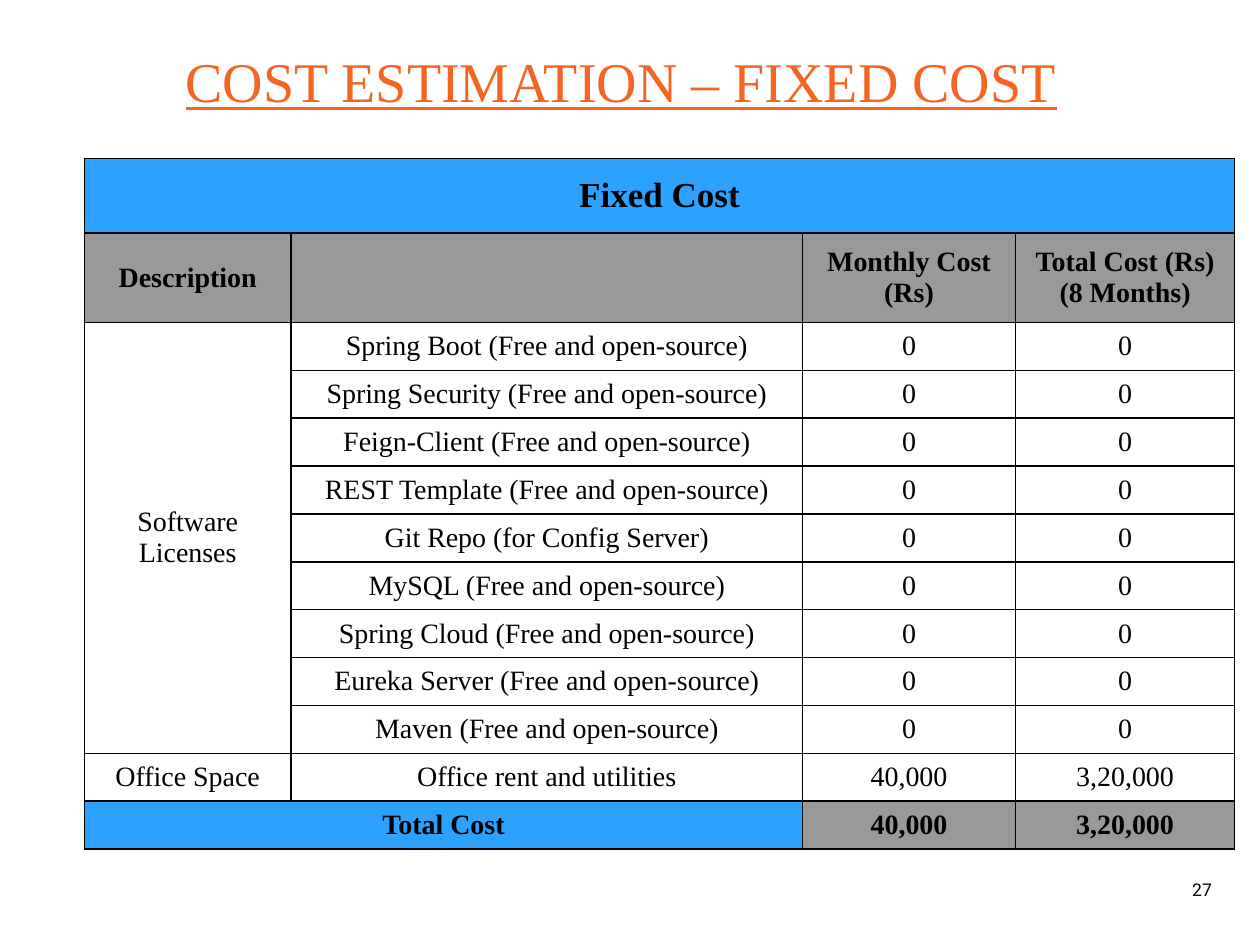
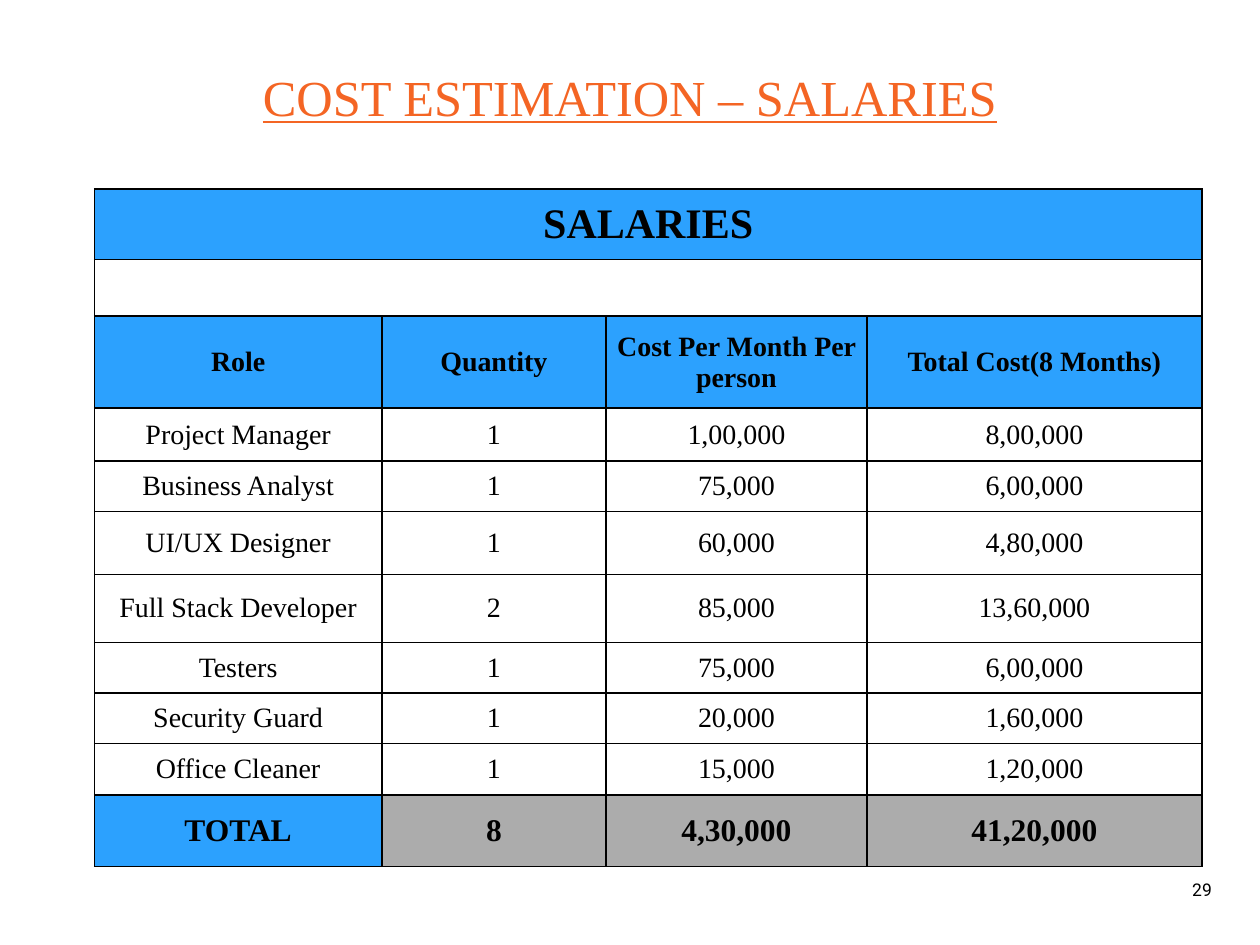
from dataclasses import dataclass

from lxml.etree import SubElement
from pptx import Presentation
from pptx.dml.color import RGBColor as RGB
from pptx.enum.text import MSO_ANCHOR as Anchor, PP_ALIGN as Align
from pptx.oxml.ns import qn
from pptx.util import Inches, Pt


@dataclass(frozen=True)
class Theme:
    orange: str = "F46524"
    blue: str = "2CA1FE"
    gray: str = "999999"
    light_gray: str = "ACACAC"
    white: str = "FFFFFF"
    black: str = "000000"
    serif: str = "Times New Roman"
    sans: str = "Roboto"
    body: float = 16
    number: float = 10
    border: float = 1


T = Theme()


def write(tf, text, size=T.body, font=T.serif, color=T.black, bold=False,
          underline=False, spacing=None):
    """Put one centred paragraph in a text frame; line breaks stay inside it."""
    p = tf.paragraphs[0]
    p.text = text.replace("\n", "\v")
    p.alignment = Align.CENTER
    if spacing:
        p.line_spacing = spacing
    for r in p.runs:
        f = r.font
        f.size, f.name, f.bold, f.underline = Pt(size), font, bold, underline
        f.color.rgb = RGB.from_string(color)


def add_text(s, box, text, anchor=Anchor.TOP, **fmt):
    tf = s.shapes.add_textbox(*map(Inches, box)).text_frame
    tf.word_wrap = True
    tf.vertical_anchor = anchor
    write(tf, text, **fmt)


def add_title(s, box, text, **fmt):
    add_text(s, box, text, color=T.orange, underline=True, **fmt)


def add_slide_number(s, number):
    add_text(s, (9.28, 6.86, 0.52, 0.4), str(number), Anchor.MIDDLE,
             size=T.number, font=T.sans)


def style_cell(cell, fill):
    """Black border on all sides, tight margins, solid fill."""
    tc_pr = cell._tc.get_or_add_tcPr()
    for side in ("a:lnL", "a:lnR", "a:lnT", "a:lnB"):
        ln = SubElement(tc_pr, qn(side), w=str(Pt(T.border)))
        SubElement(SubElement(ln, qn("a:solidFill")), qn("a:srgbClr"), val=T.black)
    cell.margin_left = cell.margin_right = Inches(0.03)
    cell.margin_top = cell.margin_bottom = Inches(0.02)
    cell.vertical_anchor = Anchor.MIDDLE
    cell.fill.solid()
    cell.fill.fore_color.rgb = RGB.from_string(fill)


def add_cost_table(s, box, widths, heights, rows, merges, fills, sizes, bold_rows):
    """fills gives the colours of a row's cells, sizes its type size, by row index."""
    table = s.shapes.add_table(len(rows), len(widths), *map(Inches, box)).table
    table.first_row = table.horz_banding = False
    for column, width in zip(table.columns, widths):
        column.width = Inches(width)
    for i, (values, height) in enumerate(zip(rows, heights)):
        table.rows[i].height = Inches(height)
        row_fills = fills.get(i, [T.white] * len(widths))
        for j, fill in enumerate(row_fills):
            cell = table.cell(i, j)
            style_cell(cell, fill)
            if j < len(values) and values[j]:
                write(cell.text_frame, values[j], size=sizes.get(i, T.body),
                      bold=i in bold_rows)
    for first, last in merges:
        table.cell(*first).merge(table.cell(*last))


def fixed_cost_slide(s):
    add_slide_number(s, 27)
    add_title(s, (0.18, 0.32, 9.5, 0.64), "COST ESTIMATION – FIXED COST", size=32)

    # Licences cost nothing, so only the names vary
    free = " (Free and open-source)"
    licenses = ["Spring Boot" + free, "Spring Security" + free, "Feign-Client" + free,
                "REST Template" + free, "Git Repo (for Config Server)", "MySQL" + free,
                "Spring Cloud" + free, "Eureka Server" + free, "Maven" + free]
    rows = [["Fixed Cost"],
            ["Description", "", "Monthly Cost (Rs)", "Total Cost (Rs)\n(8 Months)"]]
    rows += [["" if i else "Software Licenses", name, "0", "0"]
             for i, name in enumerate(licenses)]
    rows += [["Office Space", "Office rent and utilities", "40,000", "3,20,000"],
             ["Total Cost", "", "40,000", "3,20,000"]]
    total = len(rows) - 1
    add_cost_table(
        s, (0.67, 1.26, 9.14, 5.47), [1.64, 4.06, 1.69, 1.74],
        [0.59, 0.71] + [0.38] * (len(rows) - 2), rows,
        merges=[((0, 0), (0, 3)), ((2, 0), (1 + len(licenses), 0)),
                ((total, 0), (total, 1))],
        fills={0: [T.blue] * 4, 1: [T.gray] * 4, total: [T.blue] * 2 + [T.gray] * 2},
        sizes={0: 20}, bold_rows={0, 1, total})


def salaries_slide(s):
    add_title(s, (0.75, 0.53, 8.5, 0.8), "COST ESTIMATION – SALARIES",
              size=28.8, spacing=0.9)
    add_slide_number(s, 29)

    rows = [["SALARIES"],
            [],
            ["Role", "Quantity", "Cost Per Month Per person", "Total Cost(8 Months)"],
            ["Project Manager", "1", "1,00,000", "8,00,000"],
            ["Business Analyst", "1", "75,000", "6,00,000"],
            ["UI/UX Designer", "1", "60,000", "4,80,000"],
            ["Full Stack Developer", "2", "85,000", "13,60,000"],
            ["Testers", "1", "75,000", "6,00,000"],
            ["Security Guard", "1", "20,000", "1,60,000"],
            ["Office Cleaner", "1", "15,000", "1,20,000"],
            ["TOTAL", "8", "4,30,000", "41,20,000"]]
    total = len(rows) - 1
    add_cost_table(
        s, (0.75, 1.5, 8.78, 5.38), [2.28, 1.78, 2.07, 2.66],
        [0.56, 0.45, 0.73, 0.42, 0.4, 0.5, 0.54, 0.4, 0.4, 0.41, 0.57], rows,
        merges=[((0, 0), (0, 3)), ((1, 0), (1, 3))],
        fills={0: [T.blue] * 4, 2: [T.blue] * 4, total: [T.blue] + [T.light_gray] * 3},
        sizes={0: 24, total: 18}, bold_rows={0, 2, total})


def main():
    prs = Presentation()
    prs.slide_width, prs.slide_height = Inches(10), Inches(7.5)
    for build in (fixed_cost_slide, salaries_slide):
        build(prs.slides.add_slide(prs.slide_layouts[6]))
    prs.save("out.pptx")


if __name__ == "__main__":
    main()
